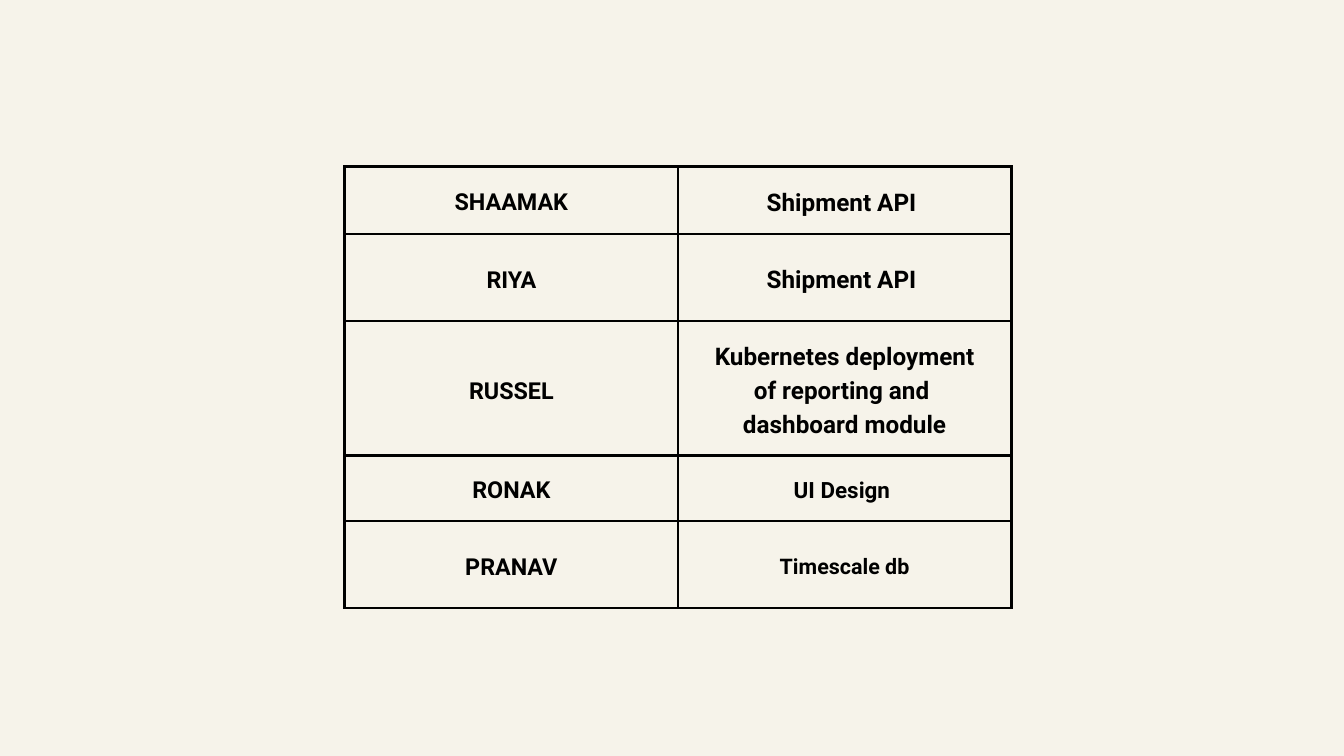
import dataclasses
import typing

import lxml.etree
import pptx
import pptx.dml.color
import pptx.enum.text
import pptx.oxml.ns
import pptx.util


@dataclasses.dataclass(frozen=True)
class Theme:
    background: str = "F6F3EA"
    ink: str = "000000"
    font: str = "Roboto"
    name_size: int = 25
    large_size: int = 26
    medium_size: int = 24
    small_size: int = 23
    leading: float = 1.4
    border: int = 3
    inset: float = 0.21


class Assignment(typing.NamedTuple):
    member: str
    task: tuple[str, ...]
    task_size: int
    height: float


THEME = Theme()
COLUMN_WIDTH = 4.96
ASSIGNMENTS = (
    Assignment("SHAAMAK", ("Shipment API ",), THEME.large_size, 1),
    Assignment("RIYA", ("Shipment API ",), THEME.large_size, 1.3),
    Assignment(
        "RUSSEL",
        ("Kubernetes deployment", "of reporting and ", "dashboard module"),
        THEME.large_size,
        2,
    ),
    Assignment("RONAK", ("UI Design ",), THEME.medium_size, 0.97),
    Assignment("PRANAV", ("Timescale db",), THEME.small_size, 1.3),
)


def rgb(value: str) -> pptx.dml.color.RGBColor:
    return pptx.dml.color.RGBColor.from_string(value)


def apply_format(target: typing.Any, values: dict[str, typing.Any]) -> None:
    for name, value in values.items():
        setattr(target, name, value)


def add_borders(cell: typing.Any) -> None:
    properties = cell._tc.get_or_add_tcPr()
    qualify = pptx.oxml.ns.qn
    for position, edge in enumerate(("a:lnL", "a:lnR", "a:lnT", "a:lnB")):
        line = lxml.etree.Element(qualify(edge), w=str(pptx.util.Pt(THEME.border)))
        fill = lxml.etree.SubElement(line, qualify("a:solidFill"))
        lxml.etree.SubElement(fill, qualify("a:srgbClr"), val=THEME.ink)
        properties.insert(position, line)


def fill_cell(cell: typing.Any, lines: tuple[str, ...], size: int) -> None:
    inset = pptx.util.Inches(THEME.inset)
    apply_format(cell, {
        "margin_left": inset,
        "margin_right": inset,
        "margin_top": inset,
        "margin_bottom": inset,
        "vertical_anchor": pptx.enum.text.MSO_ANCHOR.MIDDLE,
    })
    cell.fill.background()
    add_borders(cell)
    frame = cell.text_frame
    for index, text in enumerate(lines):
        para = frame.add_paragraph() if index else frame.paragraphs[0]
        apply_format(para, {
            "alignment": pptx.enum.text.PP_ALIGN.CENTER,
            "line_spacing": pptx.util.Pt(size * THEME.leading),
        })
        span = para.add_run()
        span.text = text
        apply_format(span.font, {
            "name": THEME.font,
            "size": pptx.util.Pt(size),
            "bold": True,
        })
        span.font.color.rgb = rgb(THEME.ink)


def add_assignments(page: typing.Any, assignments: tuple[Assignment, ...]) -> None:
    table = page.shapes.add_table(
        len(assignments), 2,
        pptx.util.Inches(5.13), pptx.util.Inches(2.48),
        pptx.util.Inches(2 * COLUMN_WIDTH),
        pptx.util.Inches(sum(item.height for item in assignments)),
    ).table
    apply_format(table, {"first_row": False, "horz_banding": False})
    for column in table.columns:
        column.width = pptx.util.Inches(COLUMN_WIDTH)
    for index, item in enumerate(assignments):
        table.rows[index].height = pptx.util.Inches(item.height)
        fill_cell(table.cell(index, 0), (item.member,), THEME.name_size)
        fill_cell(table.cell(index, 1), item.task, item.task_size)


def main() -> None:
    deck = pptx.Presentation()
    apply_format(deck, {
        "slide_width": pptx.util.Inches(20),
        "slide_height": pptx.util.Inches(11.25),
    })
    page = deck.slides.add_slide(deck.slide_layouts[6])
    page.background.fill.solid()
    page.background.fill.fore_color.rgb = rgb(THEME.background)
    add_assignments(page, ASSIGNMENTS)
    deck.save("out.pptx")


if __name__ == "__main__":
    main()
